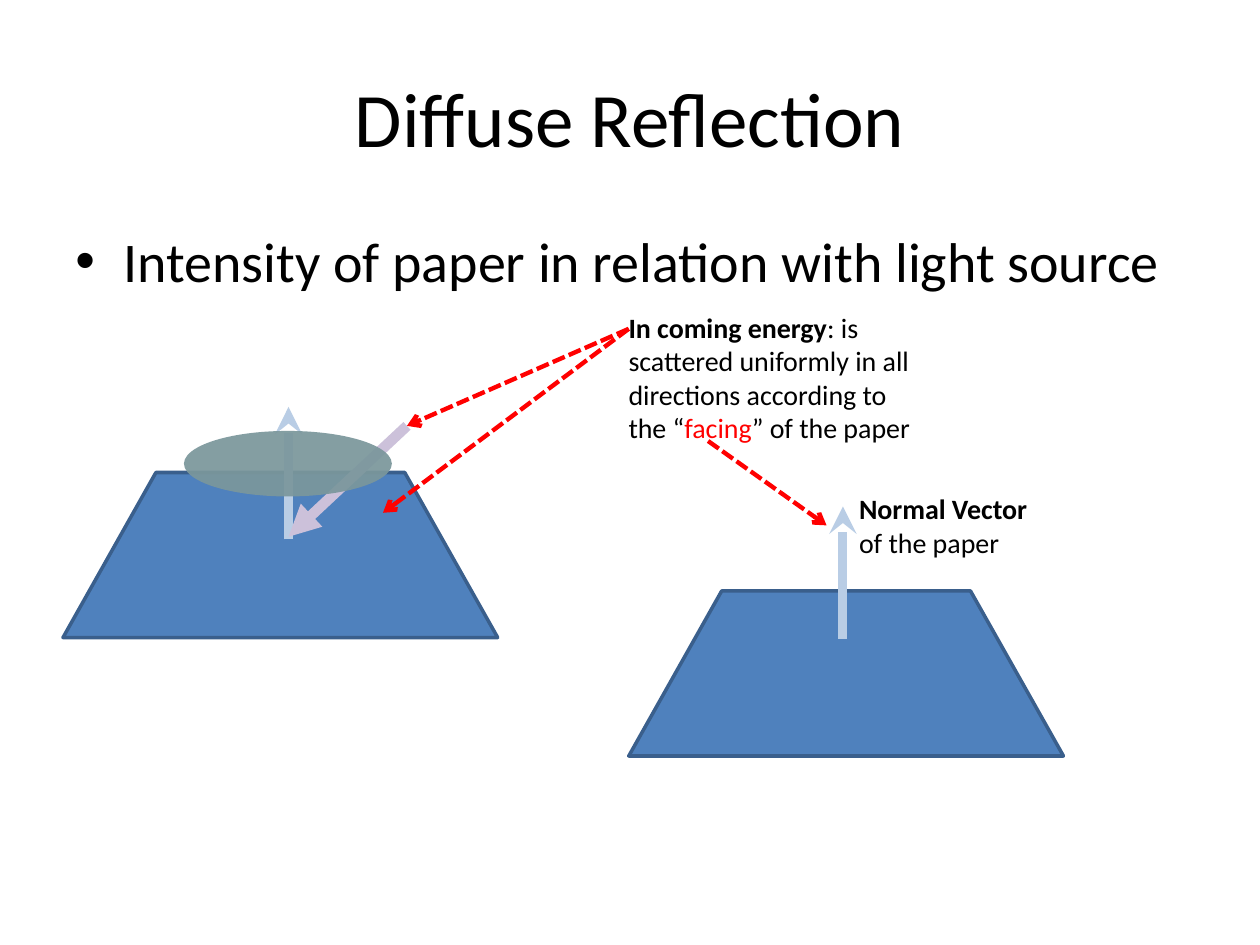
from pptx import Presentation
from pptx.dml.color import RGBColor
from pptx.enum.dml import MSO_LINE
from pptx.enum.shapes import MSO_CONNECTOR, MSO_SHAPE
from pptx.enum.text import MSO_ANCHOR, PP_ALIGN
from pptx.oxml.ns import qn
from pptx.util import Inches, Pt
from lxml.etree import SubElement

BLACK, RED = "000000", "FF0000"
PAPER, PAPER_EDGE = "4F81BD", "3A5F8C"
NORMAL, LIGHT, SCATTER = "B9CDE5", "CCC1DA", "7B979C"
ENERGY_START = (4.99, 2.61)
LIGHT_START = (3.23, 3.38)


def color(value):
    return RGBColor.from_string(value)


def add_text(page, box, spans, size, anchor=MSO_ANCHOR.MIDDLE, align=PP_ALIGN.LEFT):
    """Add one paragraph from (text, format) spans; a newline breaks the line."""
    frame = page.shapes.add_textbox(*map(Inches, box)).text_frame
    frame.word_wrap = True
    frame.vertical_anchor = anchor
    para = frame.paragraphs[0]
    para.alignment = align
    for text, own in spans:
        for number, line in enumerate(text.split("\n")):
            if number:
                para.add_line_break()
            if not line:
                continue
            span = para.add_run()
            span.text = line
            look = {"name": "Calibri", "size": Pt(size), "bold": False, **own}
            span.font.color.rgb = color(look.pop("color", BLACK))
            for name, value in look.items():
                setattr(span.font, name, value)
    return para


def add_bullet(para, indent):
    props = para._p.get_or_add_pPr()
    props.set("marL", str(Inches(indent)))
    props.set("indent", str(-Inches(indent)))
    SubElement(props, qn("a:buFont")).set("typeface", "Arial")
    SubElement(props, qn("a:buChar")).set("char", "•")


def add_shape(page, kind, box, fill):
    shape = page.shapes.add_shape(kind, *map(Inches, box))
    shape.shadow.inherit = False
    shape.fill.solid()
    shape.fill.fore_color.rgb = color(fill)
    return shape


def add_paper(page, left, top):
    paper = add_shape(page, MSO_SHAPE.TRAPEZOID, (left, top, 3.45, 1.31), PAPER)
    paper.adjustments[0] = 0.563
    paper.line.color.rgb = color(PAPER_EDGE)
    paper.line.width = Pt(2)


def add_scatter(page, box):
    """Add the translucent disc of scattered light."""
    disc = add_shape(page, MSO_SHAPE.OVAL, box, SCATTER)
    disc.line.fill.background()
    fill = disc._element.spPr.find(qn("a:solidFill"))
    SubElement(fill[0], qn("a:alpha")).set("val", "93000")


def add_arrow(page, start, end, stroke, width, head, dash=None):
    arrow = page.shapes.add_connector(
        MSO_CONNECTOR.STRAIGHT, *map(Inches, (*start, *end)))
    arrow.line.color.rgb = color(stroke)
    arrow.line.width = Pt(width)
    if dash:
        arrow.line.dash_style = dash
    SubElement(arrow.line._get_or_add_ln(), qn("a:tailEnd")).set("type", head)
    SubElement(arrow._element.spPr, qn("a:effectLst"))


def add_normal(page, x, bottom):
    add_arrow(page, (x, bottom), (x, bottom - 1.05), NORMAL, 5.25, "stealth")


def add_pointer(page, start, end):
    add_arrow(page, start, end, RED, 2.5, "arrow", MSO_LINE.SQUARE_DOT)


def main():
    deck = Presentation()
    deck.slide_width, deck.slide_height = Inches(10), Inches(7.5)
    page = deck.slides.add_slide(deck.slide_layouts[6])

    add_text(page, (0.5, 0.3, 9, 1.25), [("Diffuse Reflection", {})], 44,
             align=PP_ALIGN.CENTER)
    topic = add_text(
        page, (0.5, 1.75, 9, 4.95),
        [("Intensity of paper in relation with light source", {})], 32,
        anchor=MSO_ANCHOR.TOP)
    add_bullet(topic, 0.38)
    add_text(page, (4.89, 2.21, 2.5, 1.57), [
        ("In coming energy", {"bold": True}),
        (": is scattered uniformly in all directions according to the “", {}),
        ("facing", {"color": RED}),
        ("” of the paper", {}),
    ], 16)

    add_paper(page, 4.99, 4.69)
    add_normal(page, 6.69, 5.07)
    add_pointer(page, (5.62, 3.5), (6.56, 4.17))
    add_text(page, (6.72, 3.61, 2.5, 1.12),
             [("Normal Vector\n", {"bold": True}), ("of the paper", {})], 16)

    add_paper(page, 0.5, 3.75)
    add_normal(page, 2.29, 4.28)
    add_arrow(page, LIGHT_START, (2.29, 4.26), LIGHT, 6, "triangle")
    for target in ((3.04, 4.07), LIGHT_START):
        add_pointer(page, ENERGY_START, target)
    add_scatter(page, (1.46, 3.42, 1.65, 0.52))

    deck.save("out.pptx")


if __name__ == "__main__":
    main()
